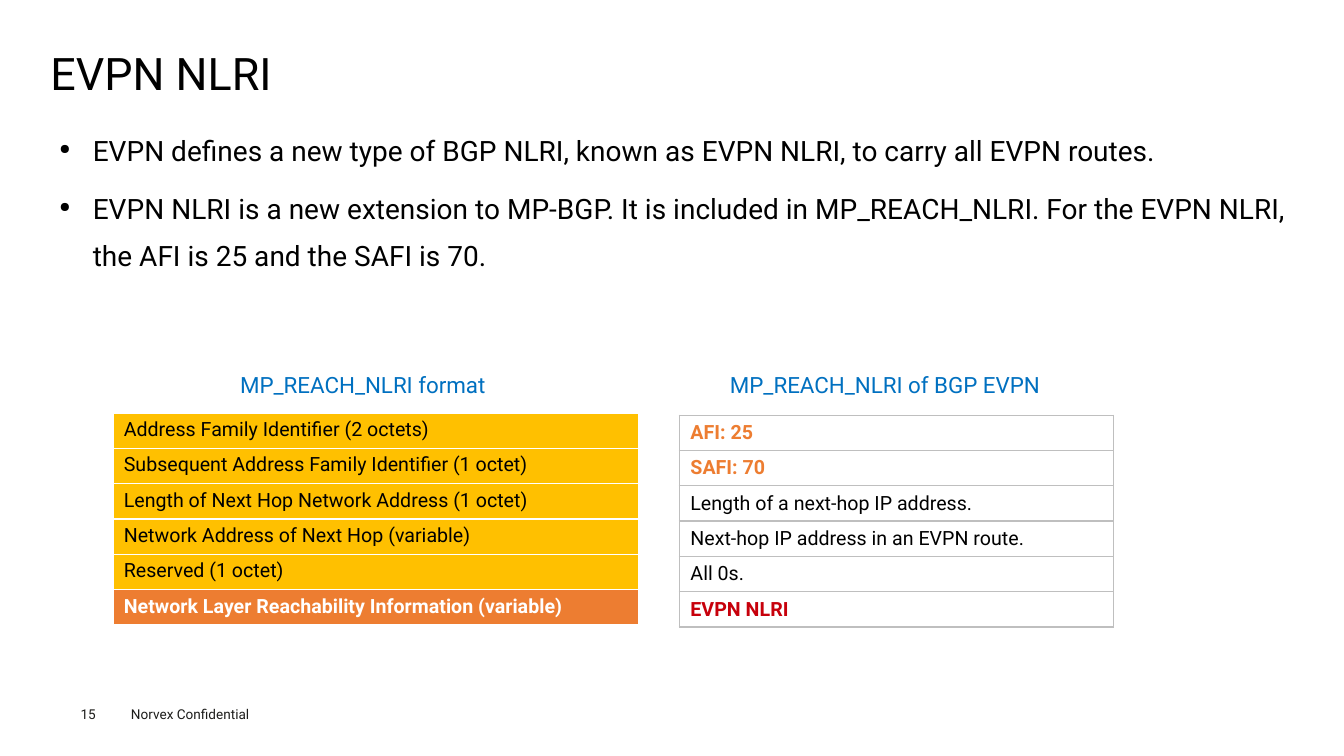
import pptx
import pptx.dml.color
import pptx.enum.text
import pptx.oxml.ns
import pptx.util
from lxml import etree

Cm, Pt = pptx.util.Cm, pptx.util.Pt
qn = pptx.oxml.ns.qn
ALIGN = pptx.enum.text.PP_ALIGN
ANCHOR = pptx.enum.text.MSO_ANCHOR

COLORS = {
    "black": "000000", "white": "FFFFFF", "footer": "1D1D1B",
    "blue": "0070C0", "amber": "FFC000", "orange": "ED7D31",
    "red": "C7000B", "grey": "BFBFBF",
}

prs = pptx.Presentation()
prs.slide_width, prs.slide_height = Cm(33.87), Cm(19.05)
s = prs.slides.add_slide(prs.slide_layouts[6])


def add_run(p, text, size, color, bold=False):
    r = p.add_run()
    r.text = text
    r.font.name = "Roboto"
    r.font.size = Pt(size)
    r.font.bold = bold
    r.font.color.rgb = pptx.dml.color.RGBColor.from_string(COLORS[color])


def add_box(left, top, width, height, inset_x=0.25, inset_y=0.13):
    tf = s.shapes.add_textbox(Cm(left), Cm(top), Cm(width), Cm(height)).text_frame
    tf.word_wrap = True
    tf.margin_left = tf.margin_right = Cm(inset_x)
    tf.margin_top = tf.margin_bottom = Cm(inset_y)
    return tf


tf = add_box(1.27, 1.24, 31.37, 1.37, 0, 0)
tf.vertical_anchor = ANCHOR.MIDDLE
tf.paragraphs[0].line_spacing = 0.9
add_run(tf.paragraphs[0], "EVPN NLRI", 32, "black")

bullets = [
    "EVPN defines a new type of BGP NLRI, known as EVPN NLRI, to carry all EVPN routes.",
    "EVPN NLRI is a new extension to MP-BGP. It is included in MP_REACH_NLRI. "
    "For the EVPN NLRI, the AFI is 25 and the SAFI is 70.",
]
tf = add_box(1.27, 2.92, 31.37, 13.54, 0.23, 0.1)
for i, text in enumerate(bullets):
    p = tf.add_paragraph() if i else tf.paragraphs[0]
    p.alignment = ALIGN.JUSTIFY
    p.line_spacing = 1.4
    p.space_before = Pt(7.9)
    pPr = p._p.get_or_add_pPr()
    pPr.set("marL", str(Cm(0.84)))
    pPr.set("indent", str(Cm(-0.84)))
    etree.SubElement(pPr, qn("a:buSzPct")).set("val", "50000")
    etree.SubElement(pPr, qn("a:buChar")).set("char", "●")
    add_run(p, text, 20, "black")

format_rows = [
    ("Address Family Identifier (2 octets)", "black", "amber"),
    ("Subsequent Address Family Identifier (1 octet)", "black", "amber"),
    ("Length of Next Hop Network Address (1 octet)", "black", "amber"),
    ("Network Address of Next Hop (variable)", "black", "amber"),
    ("Reserved (1 octet)", "black", "amber"),
    ("Network Layer Reachability Information (variable)", "white", "orange"),
]
evpn_rows = [
    ("AFI: 25", "orange", None),
    ("SAFI: 70", "orange", None),
    ("Length of a next-hop IP address.", "black", None),
    ("Next-hop IP address in an EVPN route.", "black", None),
    ("All 0s.", "black", None),
    ("EVPN NLRI", "red", None),
]
tables = [
    (2.87, 10.41, 13.23, format_rows, "white", ANCHOR.TOP, 0.25, 0.13),
    (17.12, 10.46, 10.95, evpn_rows, "grey", ANCHOR.MIDDLE, 0.28, 0.08),
]
row_height = 0.89
for left, top, width, rows, border, anchor, inset_x, inset_y in tables:
    table = s.shapes.add_table(len(rows), 1, Cm(left), Cm(top), Cm(width),
                               Cm(row_height * len(rows))).table
    table.first_row = table.horz_banding = False
    for i, (text, color, fill) in enumerate(rows):
        table.rows[i].height = Cm(row_height)
        cell = table.cell(i, 0)
        cell.vertical_anchor = anchor
        cell.margin_left = cell.margin_right = Cm(inset_x)
        cell.margin_top = cell.margin_bottom = Cm(inset_y)
        add_run(cell.text_frame.paragraphs[0], text, 14, color, color != "black")
        tcPr = cell._tc.get_or_add_tcPr()
        for side in ("a:lnL", "a:lnR", "a:lnT", "a:lnB"):
            ln = etree.SubElement(tcPr, qn(side), w=str(Pt(1)))
            solid = etree.SubElement(ln, qn("a:solidFill"))
            etree.SubElement(solid, qn("a:srgbClr")).set("val", COLORS[border])
        if fill:
            cell.fill.solid()
            cell.fill.fore_color.rgb = pptx.dml.color.RGBColor.from_string(COLORS[fill])
        else:
            cell.fill.background()

captions = [
    (5.36, 7.57, "MP_REACH_NLRI format"),
    (17.35, 9.91, "MP_REACH_NLRI of BGP EVPN"),
]
for left, width, text in captions:
    p = add_box(left, 9.22, width, 0.94).paragraphs[0]
    p.alignment = ALIGN.CENTER
    add_run(p, text, 16, "blue")

page_number = add_box(2.03, 17.78, 1.4, 0.41, 0, 0)
add_run(page_number.paragraphs[0], "15", 9.7, "footer")
footer = add_box(3.05, 17.65, 4.06, 0.69)
add_run(footer.paragraphs[0], "Norvex Confidential", 9.7, "footer")

prs.save("out.pptx")
